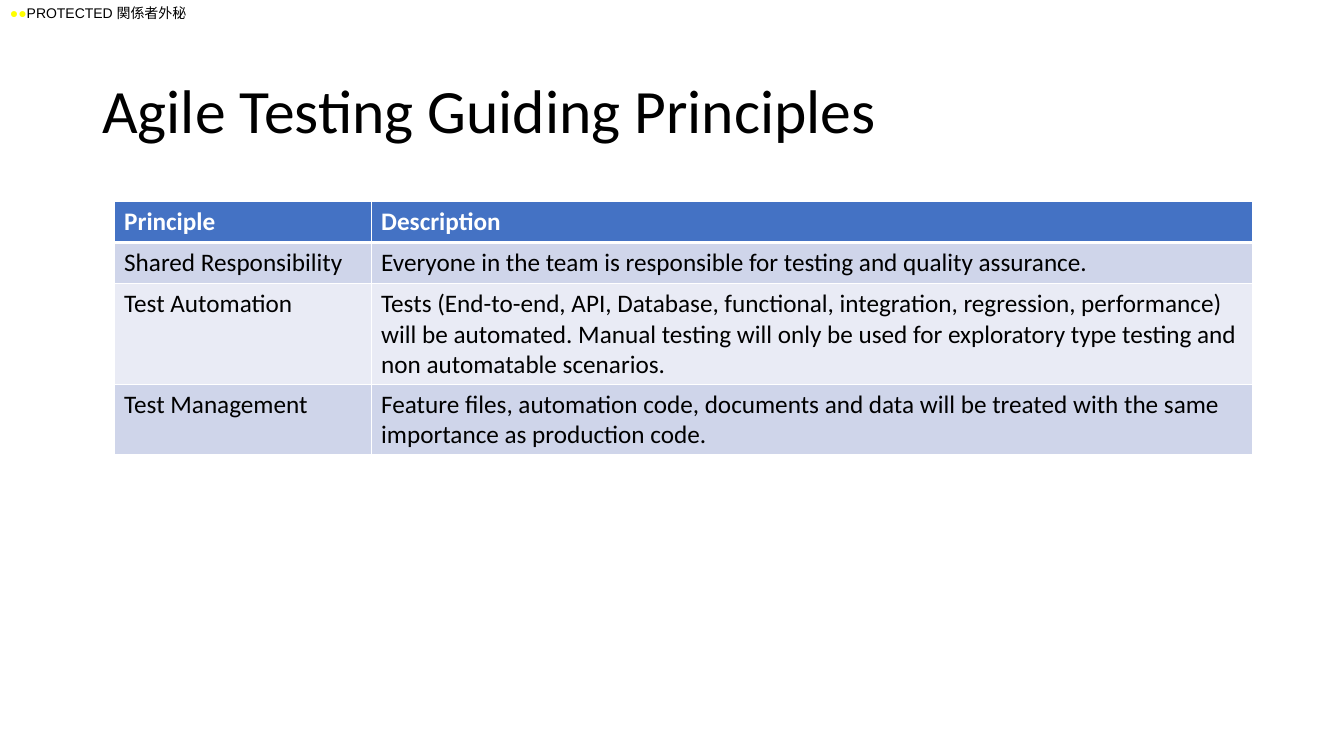
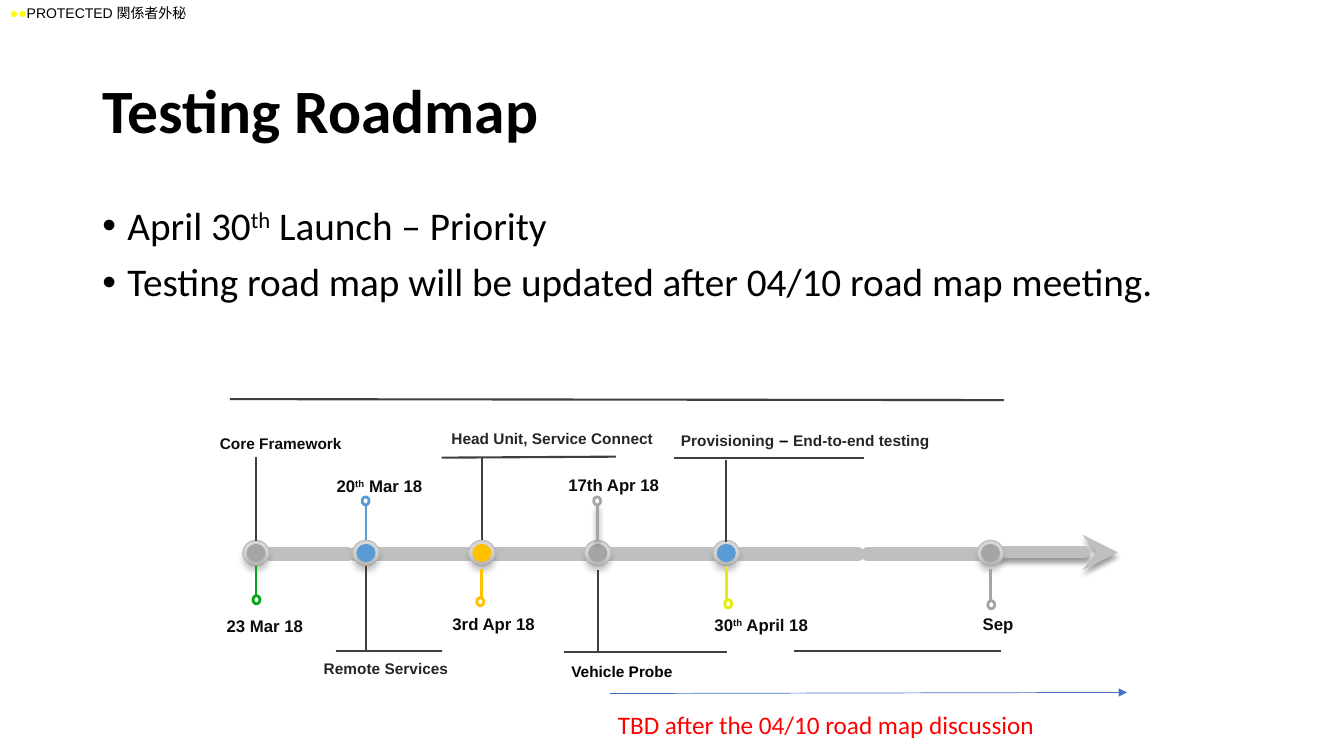
from lxml import etree
from pptx import Presentation
from pptx.dml.color import RGBColor
from pptx.enum import shapes, text
from pptx.oxml import ns
from pptx.util import Pt

BLACK, WHITE, INK, DARK = "000000", "FFFFFF", "0C0C0C", "262626"
BLUE, SKY, GOLD, GREY = "4472C4", "5B9BD5", "FFC000", "A5A5A5"
BAR, RULE, RING = "BFBFBF", "3F3F3F", "D8D8D8"
GREEN, LIME, YELLOW, RED = "07A51A", "E9E909", "FFFF00", "FF0000"
BANDS = ("CFD5EA", "E9EBF5")
LINE_SHADOW = (40, 4, 3)
DOT_SHADOW = (15, 4, 4)


def rgb(value):
    """Turn a hex string into a colour."""
    return RGBColor.from_string(value)


def add_xml(parent, tag, **attributes):
    """Append a DrawingML element to a parent and return it."""
    child = etree.SubElement(parent, ns.qn("a:" + tag))
    for name, value in attributes.items():
        child.set(name, str(value))
    return child


def add_shadow(effects, opacity, blur, distance):
    """Put a downward black shadow in an effect list."""
    shadow = add_xml(effects, "outerShdw", blurRad=Pt(blur), dist=Pt(distance),
                     dir=90 * 60000, algn="ctr", rotWithShape=0)
    color = add_xml(shadow, "srgbClr", val=BLACK)
    add_xml(color, "alpha", val=opacity * 1000)


def format_run(run, size=18, font="Calibri", color=BLACK, bold=False, raised=False):
    """Set the character style of a run."""
    run.font.size = Pt(size)
    run.font.name = font
    run.font.color.rgb = rgb(color)
    run.font.bold = bold
    if raised:
        run._r.get_or_add_rPr().set("baseline", "30000")


def fill_paragraph(paragraph, pieces, **style):
    """Write a string, or (string, style changes) pairs, into a paragraph."""
    if isinstance(pieces, str):
        pieces = [(pieces, {})]
    for words, changes in pieces:
        run = paragraph.add_run()
        run.text = words
        format_run(run, **{**style, **changes})


def ordinal(number, rest):
    """Give the pieces of a number with a raised 'th'."""
    return [(number, {}), ("th", {"raised": True}), (rest, {})]


class Deck:
    """Holds the presentation, its shared style and the current slide."""

    def __init__(self):
        """Start an empty widescreen presentation."""
        self.presentation = Presentation()
        self.presentation.slide_width = Pt(960)
        self.presentation.slide_height = Pt(540)
        self.slide = None

    def new_slide(self, title, bold=False):
        """Add a slide with the protection mark and a title."""
        self.slide = self.presentation.slides.add_slide(self.presentation.slide_layouts[6])
        mark = [("●●", {"color": YELLOW, "bold": True}), ("PROTECTED 関係者外秘", {})]
        self.text((0, 0, 960, 19.44), [mark], size=10, font="Arial")
        frame = self.text((66, 28.8, 828, 104.4), [title], size=44, bold=bold)
        frame.vertical_anchor = text.MSO_ANCHOR.MIDDLE
        frame.paragraphs[0].line_spacing = 0.9

    def text(self, box, paragraphs, centered=False, **style):
        """Add a wrapping text box and return its text frame."""
        frame = self.slide.shapes.add_textbox(*map(Pt, box)).text_frame
        frame.word_wrap = True
        for index, pieces in enumerate(paragraphs):
            paragraph = frame.add_paragraph() if index else frame.paragraphs[0]
            if centered:
                paragraph.alignment = text.PP_ALIGN.CENTER
            fill_paragraph(paragraph, pieces, **style)
        return frame

    def bullets(self, box, paragraphs, **style):
        """Add a bulleted text box."""
        for paragraph in self.text(box, paragraphs, **style).paragraphs:
            paragraph.line_spacing = 0.9
            paragraph.space_before = Pt(10)
            properties = paragraph._p.get_or_add_pPr()
            properties.set("marL", str(Pt(18)))
            properties.set("indent", str(Pt(-18)))
            add_xml(properties, "buFont", typeface="Arial")
            add_xml(properties, "buChar", char="•")

    def label(self, box, pieces, size=12, color=INK, centered=False):
        """Add a bold timeline label."""
        self.text(box, [pieces], centered, size=size, font="Arial", color=color, bold=True)

    def line(self, start, end, color=RULE, width=1.5, head=None, cap="flat", shadow=None):
        """Draw a straight line, with an arrowhead or shadow if given."""
        connector = self.slide.shapes.add_connector(
            shapes.MSO_CONNECTOR.STRAIGHT, *map(Pt, start + end))
        connector.line.color.rgb = rgb(color)
        connector.line.width = Pt(width)
        properties = connector.element.spPr
        outline = properties.find(ns.qn("a:ln"))
        outline.set("cap", cap)
        if head:
            add_xml(outline, "tailEnd", type=head)
        effects = add_xml(properties, "effectLst")
        if shadow:
            add_shadow(effects, *shadow)

    def ellipse(self, center, size, fill=None, outline=None, width=1, shadow=None):
        """Draw an ellipse around a centre point."""
        (x, y), (wide, high) = center, size
        shape = self.slide.shapes.add_shape(
            shapes.MSO_SHAPE.OVAL, Pt(x - wide / 2), Pt(y - high / 2), Pt(wide), Pt(high))
        if fill:
            shape.fill.solid()
            shape.fill.fore_color.rgb = rgb(fill)
        else:
            shape.fill.background()
        if outline:
            shape.line.color.rgb = rgb(outline)
            shape.line.width = Pt(width)
        else:
            shape.line.fill.background()
        shape.shadow.inherit = False
        if shadow:
            add_shadow(shape.element.spPr.find(ns.qn("a:effectLst")), *shadow)

    def cell(self, cell, words, fill, bottom=1, **style):
        """Fill one table cell and give it white borders."""
        fill_paragraph(cell.text_frame.paragraphs[0], words, **style)
        properties = cell._tc.get_or_add_tcPr()
        for side in "LRTB":
            width = bottom if side == "B" else 1
            border = add_xml(properties, "ln" + side, w=Pt(width))
            add_xml(add_xml(border, "solidFill"), "srgbClr", val=WHITE)
        cell.fill.solid()
        cell.fill.fore_color.rgb = rgb(fill)

    def table(self, left, top, widths, row_height, rows):
        """Add a table with a blue header and banded rows."""
        table = self.slide.shapes.add_table(
            len(rows), len(widths), Pt(left), Pt(top),
            Pt(sum(widths)), Pt(row_height * len(rows))).table
        for column, width in zip(table.columns, widths):
            column.width = Pt(width)
        for r, row in enumerate(rows):
            for c, words in enumerate(row):
                if r == 0:
                    self.cell(table.cell(r, c), words, BLUE, 3, color=WHITE, bold=True)
                else:
                    self.cell(table.cell(r, c), words, BANDS[(r - 1) % 2])


def build_principles(deck):
    """Build the slide with the table of principles."""
    deck.new_slide("Agile Testing Guiding Principles")
    deck.table(81.5, 144, (183.6, 629.3), 29.2, [
        ("Principle", "Description"),
        ("Shared Responsibility",
         "Everyone in the team is responsible for testing and quality assurance."),
        ("Test Automation",
         "Tests (End-to-end, API, Database, functional, integration, regression, "
         "performance) will be automated. Manual testing will only be used for "
         "exploratory type testing and non automatable scenarios."),
        ("Test Management",
         "Feature files, automation code, documents and data will be treated with "
         "the same importance as production code."),
    ])


def build_roadmap(deck):
    """Build the slide with the timeline."""
    deck.new_slide("Testing Roadmap", bold=True)
    deck.bullets((66, 144, 828, 377.3), [
        ordinal("April 30", " Launch – Priority "),
        "Testing road map will be updated after 04/10 road map meeting.",
    ], size=28)

    bars = [(253.4, 341.3), (193, 248.4), (344.2, 424.8),
            (436.3, 525.6), (524.9, 612.7), (619.9, 707.8)]
    for start, end in bars:
        deck.line((start, 396), (end, 396), BAR, 10, cap="rnd")
    deck.line((713.5, 394.6), (798.5, 394.6), BAR, 8.5, "stealth", "rnd", LINE_SHADOW)

    # x, dot colour, stem colour, stem start, pin x, pin y, leader start and end
    milestones = [
        (182.9, GREY, GREEN, 404.6, 183.2, 428.4, (386.6, 326.2)),
        (261.4, SKY, SKY, 385.9, 261.2, 357.8, (465.1, 404.6)),
        (344.2, GOLD, GOLD, 406.1, 343.1, 429.8, (385.9, 326.9)),
        (427, GREY, GREY, 385.9, 426.6, 357.8, (465.8, 406.8)),
        (518.8, SKY, LIME, 404.6, 520.2, 431.3, (387.4, 328.3)),
        (707.5, GREY, GREY, 406.1, 708.1, 432, None),
    ]
    for x, dot, *rest in milestones:
        deck.ellipse((x, 395), (18.7, 18), RING, BAR, shadow=DOT_SHADOW)
        deck.ellipse((x, 395), (13.7, 13), dot, shadow=DOT_SHADOW)
    for x, dot, stem, start, pin_x, pin_y, leader in milestones:
        stem_end = pin_y - 3.5 if pin_y > start else pin_y + 2.5
        shadow = LINE_SHADOW if x == 427 else None
        deck.line((x, start), (x, stem_end), stem, 2, shadow=shadow)
        deck.ellipse((pin_x, pin_y), (5, 5.8), outline=stem, width=2)
        if leader:
            deck.line((x, leader[0]), (x, leader[1]))

    rules = [(164.2, 285.1, 717.1, 285.8), (315.4, 326.9, 439.9, 326.2),
             (481.7, 326.9, 617, 326.9), (239.8, 465.1, 315.4, 465.1),
             (403.2, 465.8, 519.1, 465.8), (567.4, 465.1, 715, 465.1)]
    for rule in rules:
        deck.line(rule[:2], rule[2:])

    dates = [
        ((154.8, 436.3, 71.3, 26.6), "23 Mar 18"),
        ((233.3, 336.2, 80.6, 25.2), ordinal("20", " Mar 18")),
        ((316.1, 434.9, 76.3, 26.6), "3rd Apr 18"),
        ((398.9, 335.5, 82.8, 26.6), "17th Apr 18 "),
        ((503.3, 435.6, 88.6, 23), ordinal("30", " April 18")),
        ((694.8, 434.9, 71.3, 26.6), "Sep"),
    ]
    for box, pieces in dates:
        deck.label(box, pieces)

    provisioning = [("Provisioning", {}), (" – ", {"size": 12, "color": BLACK}),
                    ("End-to-end testing", {})]
    topics = [
        ((117.4, 306.7, 166.3, 25.2), "Core Framework", INK, True),
        ((205.2, 467.3, 141.1, 33.1), "Remote Services", DARK, True),
        ((315.4, 303.1, 175, 25.2), "Head Unit, Service Connect", DARK, False),
        ((401, 469.4, 180.7, 25.2), "Vehicle Probe", BLACK, False),
        ((469.4, 303.1, 211.7, 31.7), provisioning, DARK, True),
    ]
    for box, pieces, color, centered in topics:
        deck.label(box, pieces, 11, color, centered)

    deck.line((435.6, 495.4), (805, 494.6), BLUE, 0.5, "triangle")
    deck.text((434.2, 503.3, 389.5, 28.8),
              ["TBD after the 04/10 road map discussion"], color=RED)


deck = Deck()
build_principles(deck)
build_roadmap(deck)
deck.presentation.save("out.pptx")
